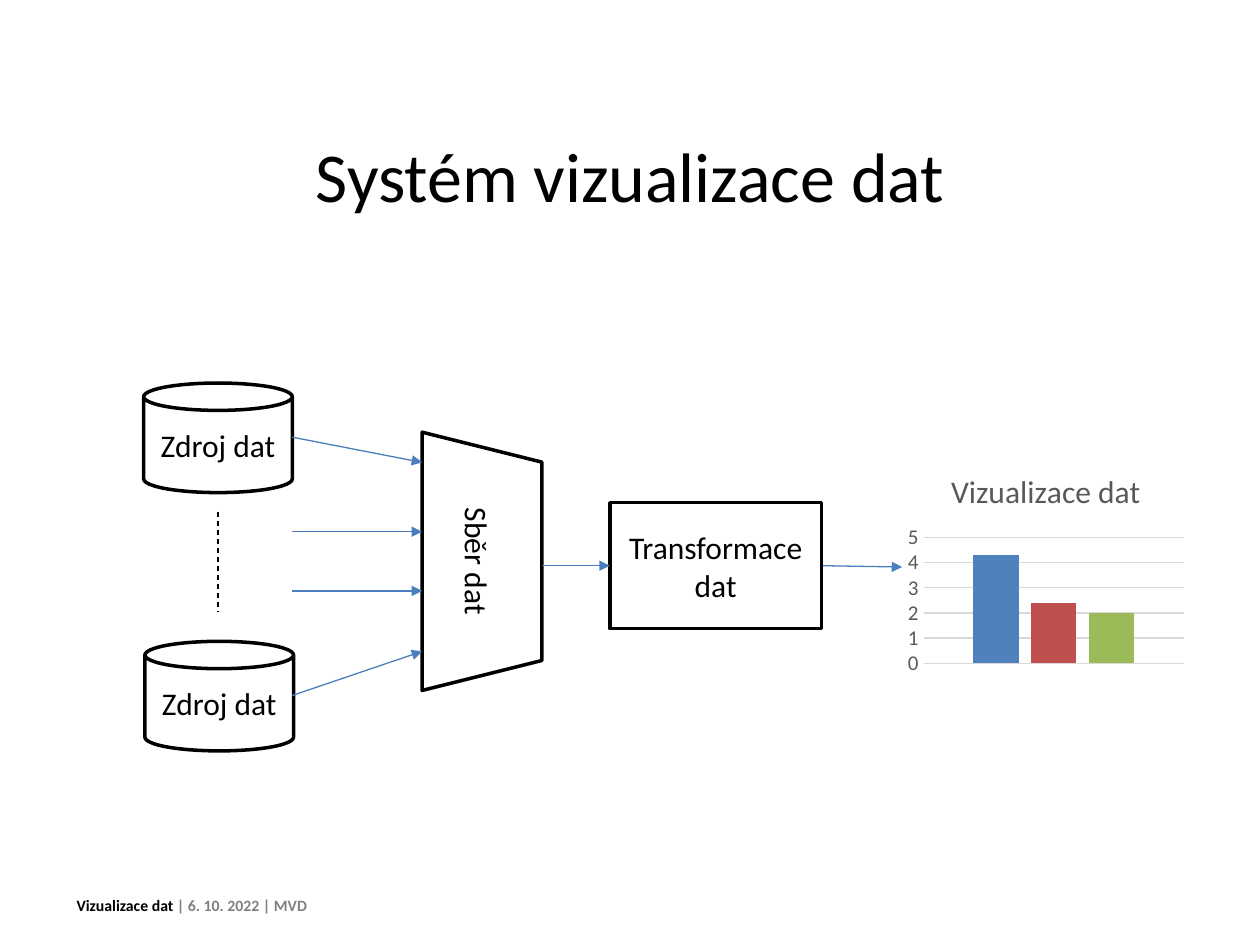
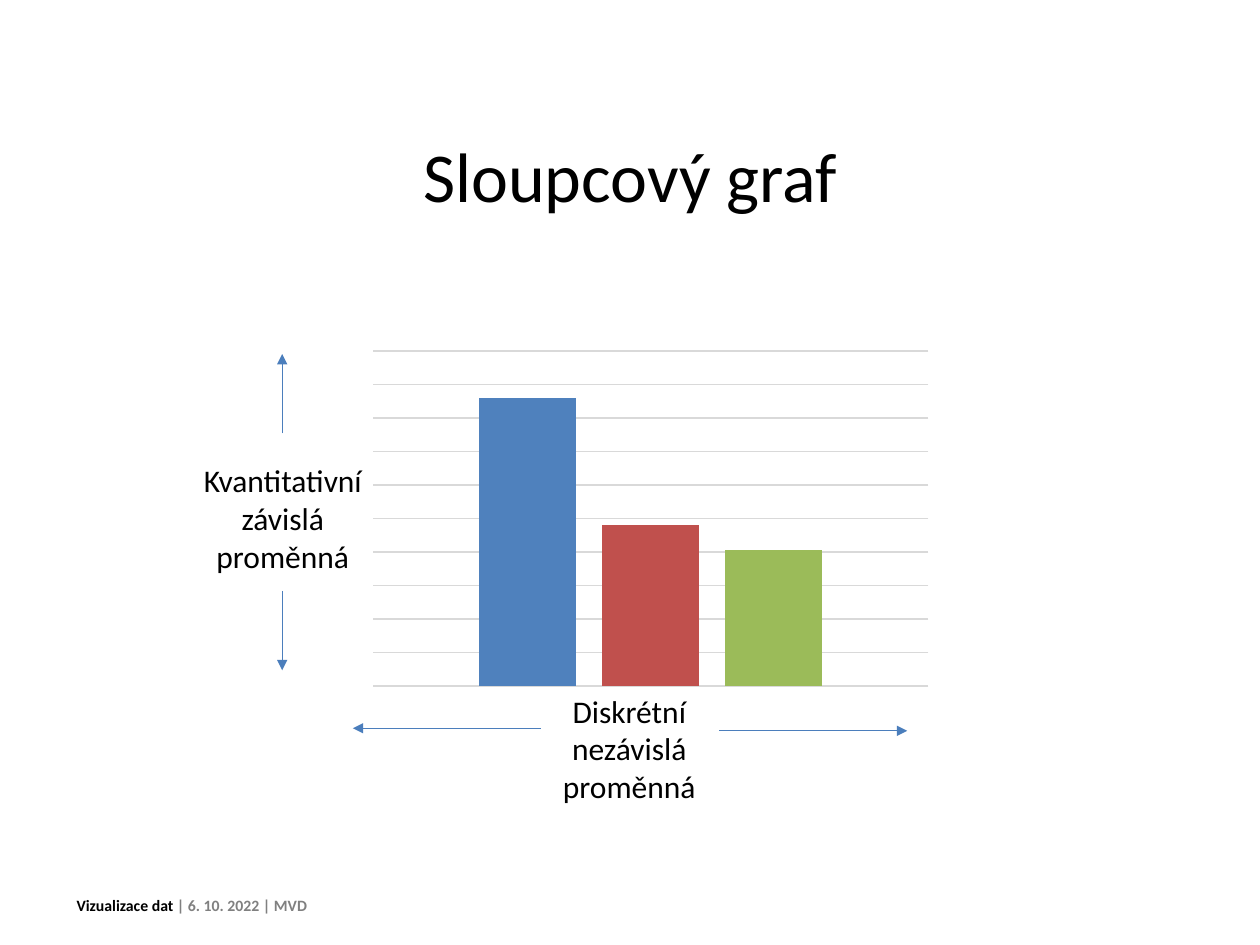
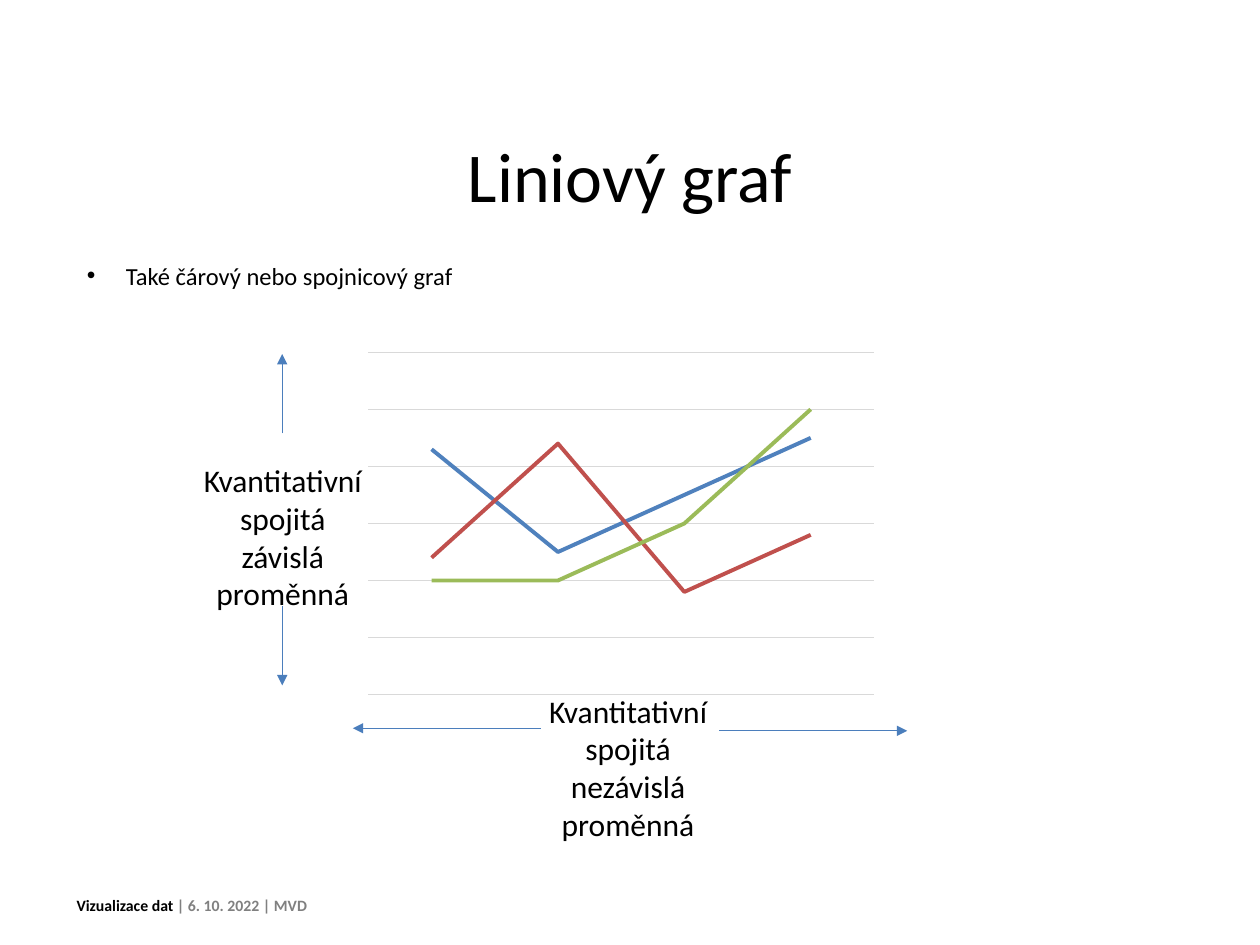
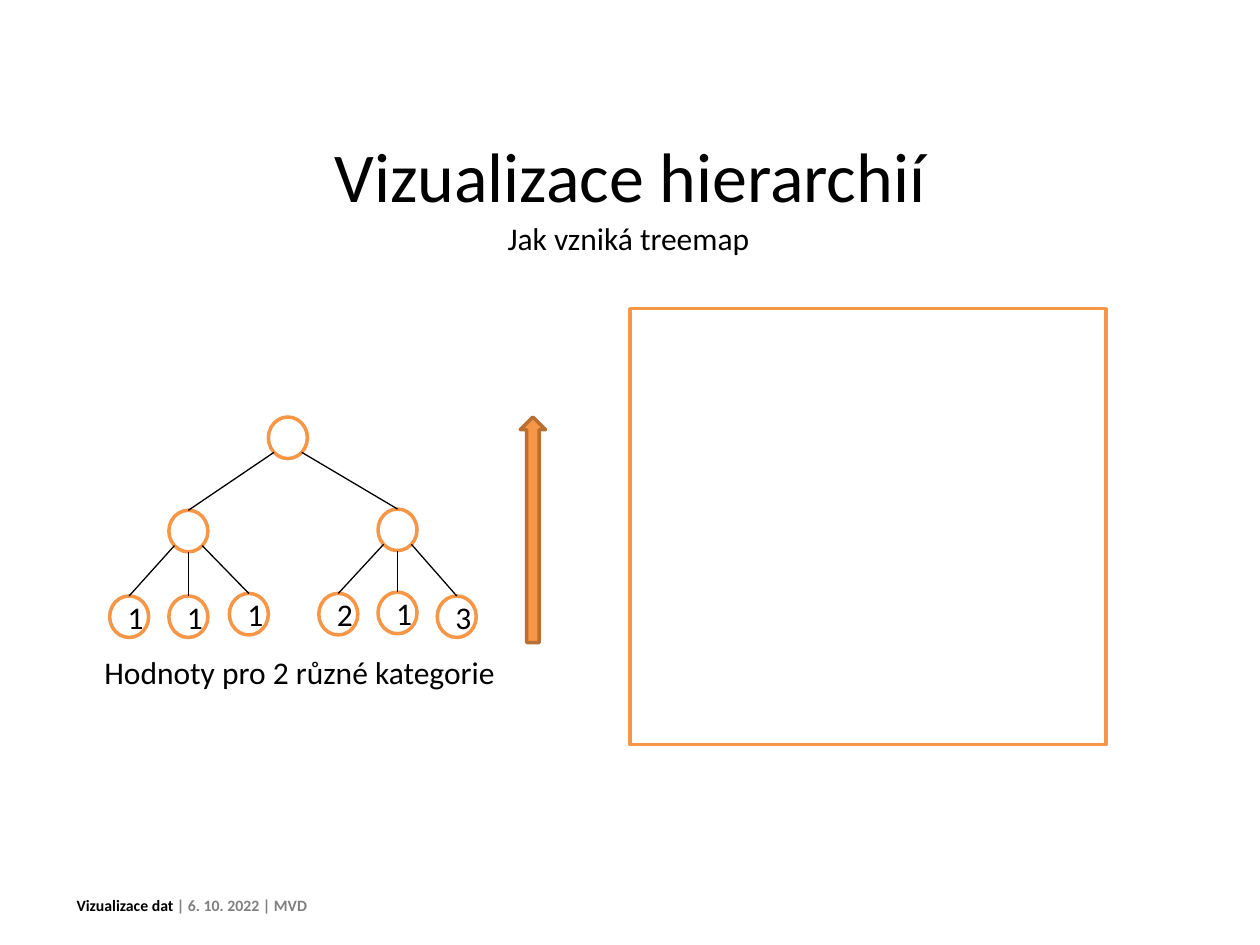
from lxml.etree import SubElement
from pptx import Presentation
from pptx.chart.data import CategoryChartData
from pptx.dml.color import RGBColor
from pptx.enum.chart import XL_CHART_TYPE, XL_MARKER_STYLE, XL_TICK_MARK
from pptx.enum.dml import MSO_LINE
from pptx.enum.shapes import MSO_CONNECTOR, MSO_SHAPE
from pptx.enum.text import MSO_ANCHOR, PP_ALIGN
from pptx.oxml.ns import qn
from pptx.util import Pt

PX = 9144  # 100 px to the inch
FONT = "Calibri"
COLORS = {
    "white": "FFFFFF", "black": "000000", "gray": "808080", "label": "595959",
    "grid": "D9D9D9", "arrow": "4B7EBC", "orange": "F79646", "brown": "B76F34",
}
SERIES = ["4F81BD", "C0504D", "9BBB59"]


def rgb(name):
    return RGBColor.from_string(COLORS.get(name, name))


def emu(*lengths):
    return [round(v * PX) for v in lengths]


def set_font(font, size, color, bold=False):
    font.name, font.size, font.bold = FONT, Pt(size), bold
    font.color.rgb = rgb(color)


def write(tf, *lines, size=18, color="black", bold=False,
          align=PP_ALIGN.CENTER, anchor=MSO_ANCHOR.TOP, wrap=True):
    """Each line is a string or a list of (text, color) runs."""
    tf.word_wrap, tf.vertical_anchor = wrap, anchor
    for i, line in enumerate(lines):
        p = tf.paragraphs[0] if i == 0 else tf.add_paragraph()
        p.alignment = align
        for text, tint in [(line, color)] if isinstance(line, str) else line:
            r = p.add_run()
            r.text = text
            set_font(r.font, size, tint, bold)


def add_text(s, box, *lines, **fmt):
    tf = s.shapes.add_textbox(*emu(*box)).text_frame
    write(tf, *lines, **fmt)
    return tf


def add_shape(s, kind, box, text=None, fill="white", line="black"):
    sp = s.shapes.add_shape(kind, *emu(*box))
    sp.shadow.inherit = False
    sp.fill.solid()
    sp.fill.fore_color.rgb = rgb(fill)
    sp.line.color.rgb = rgb(line)
    sp.line.width = Pt(2)
    if text:
        write(sp.text_frame, text, anchor=MSO_ANCHOR.MIDDLE)
    return sp


def add_line(s, x1, y1, x2, y2, color="black", dash=False, arrow=False):
    c = s.shapes.add_connector(MSO_CONNECTOR.STRAIGHT, *emu(x1, y1, x2, y2))
    c.line.color.rgb = rgb(color)
    c.line.width = Pt(0.75)
    if dash:
        c.line.dash_style = MSO_LINE.DASH
    spPr = c._element.spPr
    if arrow:
        SubElement(spPr.find(qn("a:ln")), qn("a:tailEnd"), type="triangle")
    SubElement(spPr, qn("a:effectLst"))


def add_arrow(s, *ends):
    add_line(s, *ends, color="arrow", arrow=True)


def add_chart(s, kind, box, series, top, unit, title=None):
    data = CategoryChartData()
    data.categories = [str(i + 1) for i in range(len(series[0]))]
    for i, values in enumerate(series, 1):
        data.add_series(f"Series {i}", values)
    chart = s.shapes.add_chart(kind, *emu(*box), data).chart
    set_font(chart.font, 10, "black")
    chart.has_legend = False
    chart.has_title = title is not None
    if title:
        write(chart.chart_title.text_frame, title, color="label")
        chart.chart_title.include_in_layout = False

    # Axes: only a titled chart shows its value labels
    chart.category_axis.visible = False
    axis = chart.value_axis
    axis.visible = title is not None
    axis.minimum_scale, axis.maximum_scale, axis.major_unit = 0, top, unit
    axis.major_tick_mark = XL_TICK_MARK.NONE
    axis.format.line.fill.background()
    set_font(axis.tick_labels.font, 12, "label")
    axis.has_major_gridlines = True
    grid = axis.major_gridlines.format.line
    grid.color.rgb, grid.width = rgb("grid"), Pt(0.75)

    # Series
    plot = chart.plots[0]
    plot.vary_by_categories = False
    is_line = kind == XL_CHART_TYPE.LINE
    if not is_line:
        plot.gap_width, plot.overlap = 219, -27
    for ser, color in zip(plot.series, SERIES):
        if is_line:
            ser.smooth = False
            ser.marker.style = XL_MARKER_STYLE.NONE
            ser.format.line.color.rgb, ser.format.line.width = rgb(color), Pt(2.25)
        else:
            ser.format.fill.solid()
            ser.format.fill.fore_color.rgb = rgb(color)


def new_slide(prs, title):
    s = prs.slides.add_slide(prs.slide_layouts[6])
    add_text(s, (51, 706, 843, 25),
             [("Vizualizace dat ", "black"), ("| 6. 10. 2022 | MVD", "gray")],
             size=9, bold=True, align=PP_ALIGN.LEFT)
    add_text(s, (59, 99, 882, 79), title, size=40, anchor=MSO_ANCHOR.MIDDLE)
    return s


def add_pipeline(s, x, y):
    """Sources, collection and transformation, from the top left corner."""
    # Data sources
    for dx, dy in ((0, 0), (1, 205)):
        add_shape(s, MSO_SHAPE.CAN, (x + dx, y + dy, 118, 87), "Zdroj dat")
    add_line(s, x + 59, y + 102, x + 59, y + 181, dash=True)
    # Collection, turned so that its long side faces the sources
    funnel = add_shape(s, MSO_SHAPE.TRAPEZOID, (x + 166, y + 94, 205, 95), "Sběr dat")
    funnel.rotation = 90
    for start, end in ((43, 63), (118, 118), (165, 165), (248, 213)):
        add_arrow(s, x + 118, y + start, x + 221, y + end)
    # Transformation
    add_shape(s, MSO_SHAPE.RECTANGLE, (x + 370, y + 95, 168, 100), "Transformace dat")
    add_arrow(s, x + 316, y + 145, x + 370, y + 145)
    add_arrow(s, x + 539, y + 145, x + 602, y + 146)


def add_axis_notes(s, x, y, dependent, independent, note_x, note_w, down_y):
    """Notes beside and below a chart, with arrows pointing away from them."""
    up_x = x + 73
    add_arrow(s, up_x, y + down_y, up_x, y + down_y + 63)
    add_arrow(s, up_x, y + 63, up_x, y)
    add_arrow(s, x + 420, y + 299, x + 569, y + 299)
    add_arrow(s, x + 278, y + 297, x + 129, y + 297)
    h = 11 + 30 * len(dependent)
    add_text(s, (x + note_x, y + 263, note_w, h), *independent, wrap=False)
    add_text(s, (x, y + 80, 147, h), *dependent, wrap=False)


def add_bullet(s, box, text):
    p = add_text(s, box, text, size=14, align=PP_ALIGN.LEFT).paragraphs[0]
    p.space_before = Pt(3)
    pPr = p._p.get_or_add_pPr()
    pPr.set("marL", str(31 * PX))
    pPr.set("indent", str(-31 * PX))
    SubElement(pPr, qn("a:buFont"), typeface="Arial")
    SubElement(pPr, qn("a:buChar"), char="•")


def add_tree(s, x, y):
    """Tree with its root on the top edge; nodes are placed from x, y."""
    w, h = 31, 33
    root = (126, 0)
    branches = [
        ((47, 74), [(0, 142, "1"), (47, 142, "1"), (95, 140, "1")]),
        ((213, 73), [(166, 140, "2"), (213, 139, "1"), (260, 142, "3")]),
    ]

    def add_node(left, top, text=None):
        add_shape(s, MSO_SHAPE.OVAL, (x + left, y + top, w, h), text, line="orange")

    def add_edge(parent, child, side):
        # side: -1 lower left, 0 bottom, 1 lower right of the parent
        drop = h if side == 0 else 28
        add_line(s, x + child[0] + w / 2, y + child[1],
                 x + parent[0] + w / 2 + 11 * side, y + parent[1] + drop)

    add_node(*root)
    for (branch, leaves), branch_side in zip(branches, (-1, 1)):
        add_node(*branch)
        add_edge(root, branch, branch_side)
        for leaf, side in zip(leaves, (-1, 0, 1)):
            add_node(*leaf)
            add_edge(branch, leaf, side)


def system_slide(prs):
    s = new_slide(prs, "Systém vizualizace dat")
    add_chart(s, XL_CHART_TYPE.COLUMN_CLUSTERED, (716, 359, 228, 181),
              [[4.3], [2.4], [2]], 5, 1, title="Vizualizace dat")
    add_pipeline(s, 114, 304)


def column_slide(prs):
    s = new_slide(prs, "Sloupcový graf")
    add_chart(s, XL_CHART_TYPE.COLUMN_CLUSTERED, (287, 273, 459, 277),
              [[100], [56], [47]], 116.3, 11.63)
    add_axis_notes(s, 151, 281, ["Kvantitativní", "závislá", "proměnná"],
                   ["Diskrétní", "nezávislá", "proměnná"], 285, 127, 188)


def line_slide(prs):
    s = new_slide(prs, "Liniový graf")
    add_bullet(s, (59, 202, 882, 480), "Také čárový nebo spojnicový graf")
    add_axis_notes(s, 151, 281, ["Kvantitativní", "spojitá", "závislá", "proměnná"],
                   ["Kvantitativní", "spojitá", "nezávislá", "proměnná"], 274, 147, 200)
    add_chart(s, XL_CHART_TYPE.LINE, (284, 274, 418, 283),
              [[86, 50, 70, 90], [48, 88, 36, 56], [40, 40, 60, 100]], 120, 20)


def hierarchy_slide(prs):
    s = new_slide(prs, "Vizualizace hierarchií")
    add_text(s, (393, 169, 214, 40), "Jak vzniká treemap", align=PP_ALIGN.LEFT, wrap=False)
    add_tree(s, 87, 331)
    # Empty treemap area and the direction of summing
    add_shape(s, MSO_SHAPE.RECTANGLE, (500, 245, 378, 346), line="orange")
    add_shape(s, MSO_SHAPE.UP_ARROW, (413, 331, 20, 179), fill="orange", line="brown")
    add_text(s, (73, 513, 334, 40), "Hodnoty pro 2 různé kategorie",
             align=PP_ALIGN.LEFT, wrap=False)


def main():
    prs = Presentation()
    prs.slide_width, prs.slide_height = emu(1000, 750)
    for build in (system_slide, column_slide, line_slide, hierarchy_slide):
        build(prs)
    prs.save("out.pptx")


if __name__ == "__main__":
    main()
